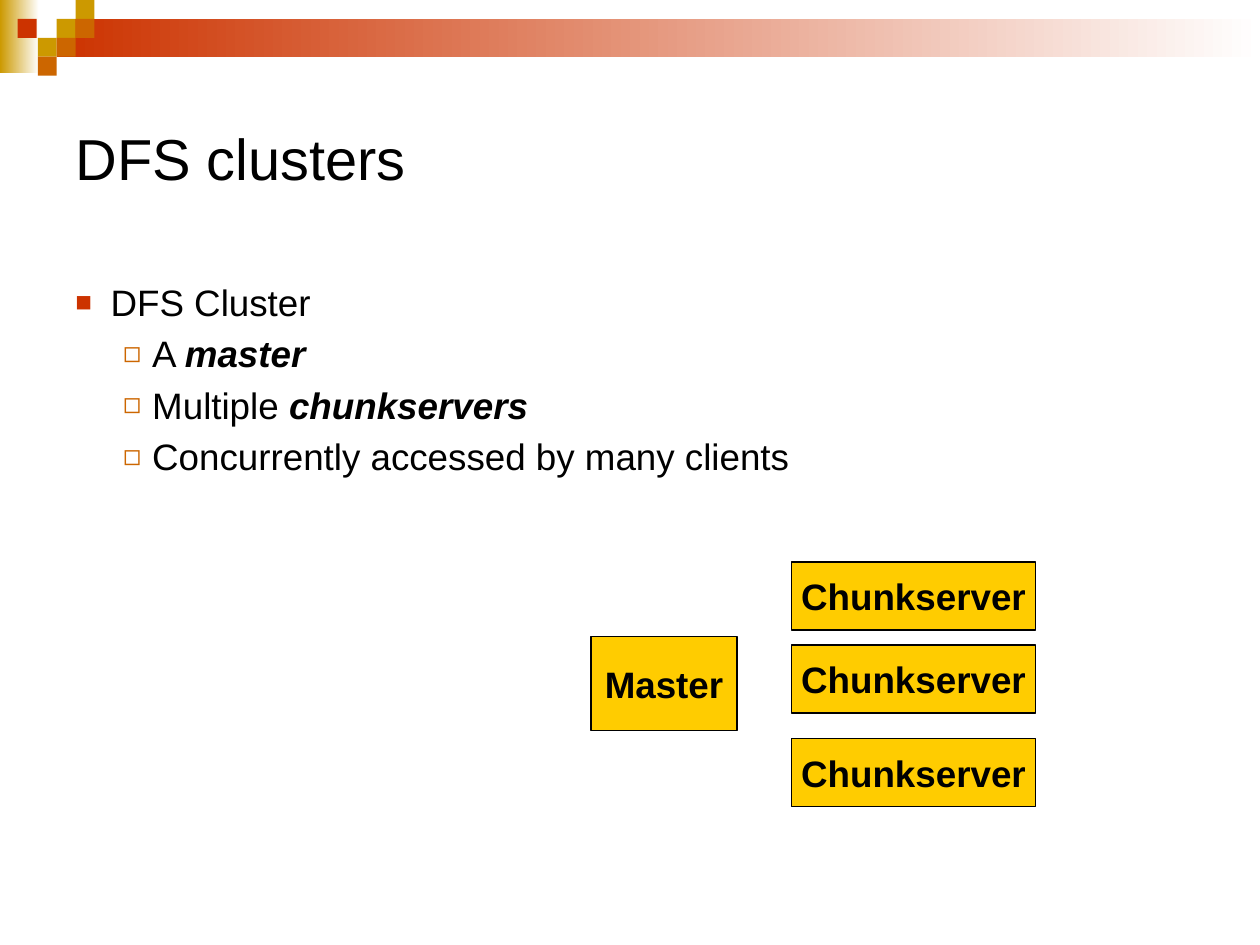
from lxml.etree import SubElement
from pptx import Presentation
from pptx.dml.color import RGBColor
from pptx.enum.shapes import MSO_SHAPE as Shape
from pptx.enum.text import MSO_ANCHOR as Anchor, PP_ALIGN as Align
from pptx.oxml.ns import qn
from pptx.util import Inches, Pt

BLACK = RGBColor(0x00, 0x00, 0x00)
WHITE = RGBColor(0xFF, 0xFF, 0xFF)
RED = RGBColor(0xCC, 0x33, 0x00)
ORANGE = RGBColor(0xCC, 0x66, 0x00)
GOLD = RGBColor(0xCC, 0x99, 0x00)
YELLOW = RGBColor(0xFF, 0xCC, 0x00)

BULLETS = [
    {"char": "■", "color": RED, "size": 75, "left": 0.28, "hang": 0.28},
    {"char": "◻", "color": ORANGE, "size": 80, "left": 0.61, "hang": 0.23},
]
POINTS = [
    (0, "DFS Cluster", ""),
    (1, "A ", "master"),
    (1, "Multiple ", "chunkservers"),
    (1, "Concurrently accessed by many clients", ""),
]
TILE = 0.15
TILES = [
    (0.45, 0.15, GOLD),
    (0.6, 0, GOLD),
    (0.6, 0.15, ORANGE),
    (0.3, 0.3, GOLD),
    (0.14, 0.15, RED),
    (0.45, 0.3, ORANGE),
    (0.3, 0.45, ORANGE),
]


class SlideBuilder:
    font = "Arial"
    title_size = 33
    text_size = 21

    def __init__(self, page):
        self.page = page

    def rectangle(self, area, color, fade_to=None):
        box = self.page.shapes.add_shape(Shape.RECTANGLE, *map(Inches, area))
        box.shadow.inherit = False
        box.line.fill.background()
        if fade_to is None:
            box.fill.solid()
            box.fill.fore_color.rgb = color
        else:
            box.fill.gradient()
            box.fill.gradient_angle = 0
            for stop, shade in zip(box.fill.gradient_stops, (color, fade_to)):
                stop.color.rgb = shade
        return box

    def span(self, para, text, size, **styles):
        span = para.add_run()
        span.text = text
        span.font.color.rgb = BLACK
        formats = {"name": self.font, "size": Pt(size), **styles}
        for name, value in formats.items():
            setattr(span.font, name, value)

    def frame(self, box, **formats):
        for name, value in {"word_wrap": True, **formats}.items():
            setattr(box.text_frame, name, value)
        return box.text_frame

    def text_box(self, area, **formats):
        box = self.page.shapes.add_textbox(*map(Inches, area))
        return self.frame(box, **formats)

    def title(self, area, text):
        frame = self.text_box(area, vertical_anchor=Anchor.MIDDLE)
        self.span(frame.paragraphs[0], text, self.title_size)

    def bullet(self, para, style):
        props = para._p.get_or_add_pPr()
        props.set("marL", str(Inches(style["left"])))
        props.set("indent", str(-Inches(style["hang"])))
        color = SubElement(props, qn("a:buClr"))
        SubElement(color, qn("a:srgbClr"), val=str(style["color"]))
        SubElement(props, qn("a:buSzPct"), val=str(style["size"] * 1000))
        SubElement(props, qn("a:buFont"), typeface=self.font)
        SubElement(props, qn("a:buChar"), char=style["char"])

    def bullet_list(self, area, points):
        frame = self.text_box(area)
        for index, (level, plain, strong) in enumerate(points):
            para = frame.add_paragraph() if index else frame.paragraphs[0]
            para.level = level
            para.space_before = Pt(4.2)
            self.bullet(para, BULLETS[level])
            self.span(para, plain, self.text_size)
            if strong:
                self.span(para, strong, self.text_size, bold=True, italic=True)

    def node(self, area, text):
        box = self.rectangle(area, YELLOW)
        box.line.color.rgb = BLACK
        box.line.width = Pt(0.75)
        frame = self.frame(
            box,
            vertical_anchor=Anchor.MIDDLE,
            margin_left=Inches(0.07),
            margin_right=Inches(0.07),
            margin_top=Inches(0.04),
            margin_bottom=Inches(0.04),
            word_wrap=False,
        )
        para = frame.paragraphs[0]
        para.alignment = Align.CENTER
        self.span(para, text, self.text_size, bold=True)


def main():
    deck = Presentation()
    deck.slide_width, deck.slide_height = Inches(10), Inches(7.5)
    builder = SlideBuilder(deck.slides.add_slide(deck.slide_layouts[6]))

    builder.rectangle((0, 0, 0.31, 0.58), GOLD, fade_to=WHITE)
    builder.rectangle((0.45, 0.15, 9.55, 0.3), RED, fade_to=WHITE)
    for left, top, color in TILES:
        builder.rectangle((left, top, TILE, TILE), color)

    builder.title((0.5, 0.5, 9, 1.5), "DFS clusters")
    builder.bullet_list((0.5, 2.17, 9, 4.25), POINTS)

    builder.node((4.69, 5.05, 1.16, 0.75), "Master")
    for top in (4.46, 5.12, 5.86):
        builder.node((6.28, top, 1.94, 0.54), "Chunkserver")

    deck.save("out.pptx")


if __name__ == "__main__":
    main()
